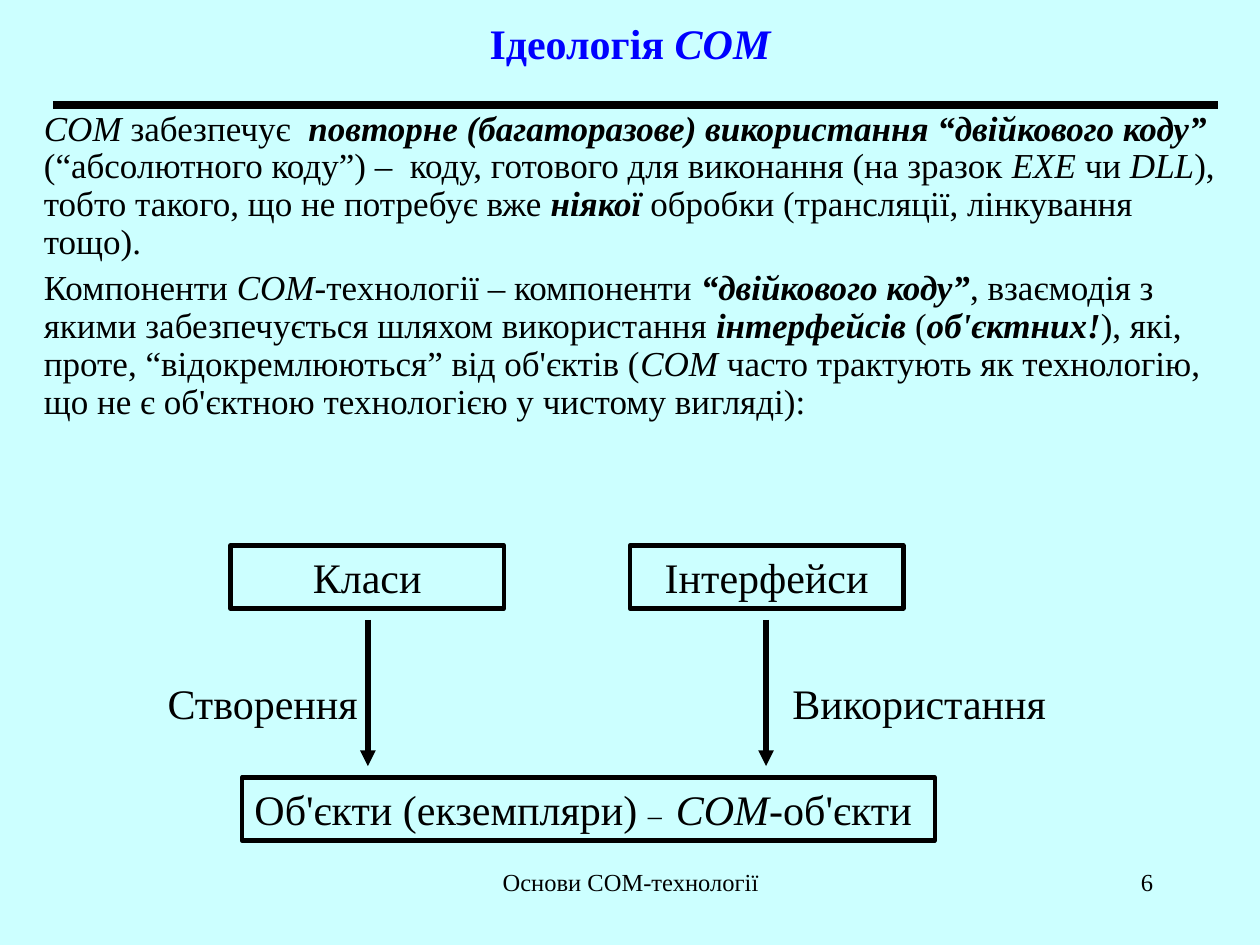
"""Build the slide on the ideology of COM with its diagram of classes, interfaces and objects."""
import pptx
import pptx.dml.color
import pptx.enum.shapes
import pptx.enum.text
import pptx.oxml
import pptx.oxml.ns
import pptx.util

Inches = pptx.util.Inches
Pt = pptx.util.Pt
Align = pptx.enum.text.PP_ALIGN
Anchor = pptx.enum.text.MSO_ANCHOR

COLORS = {"background": "CCFFFF", "title": "0000FF", "ink": "000000"}
FONT = "Times New Roman"

TITLE = [[("Ідеологія ", "b"), ("COM", "bi")]]
BODY = [
    [
        ("COM", "i"),
        (" забезпечує  ", ""),
        ("повторне (багаторазове) використання “двійкового коду”", "bi"),
        (" (“абсолютного коду”) –  коду, готового для виконання (на зразок ", ""),
        ("EXE", "i"),
        (" чи ", ""),
        ("DLL", "i"),
        ("), тобто такого, що не потребує вже ", ""),
        ("ніякої", "bi"),
        (" обробки (трансляції, лінкування тощо).", ""),
    ],
    [
        ("Компоненти", ""),
        (" COM-", "i"),
        ("технології – компоненти ", ""),
        ("“двійкового коду”", "bi"),
        (", взаємодія з якими забезпечується шляхом використання ", ""),
        ("інтерфейсів", "bi"),
        (" (", ""),
        ("об'єктних!", "bi"),
        ("), які, проте, “відокремлюються” від об'єктів (", ""),
        ("COM", "i"),
        (" часто трактують як технологію, що не є об'єктною технологією у чистому вигляді):", ""),
    ],
]
OBJECTS = [[("Об'єкти (екземпляри) ", ""), ("–  ", "", 16), ("COM-", "i"), ("об'єкти ", "")]]

NODES = [
    ([[("Класи", "")]], (1.83, 4.33, 2.17, 0.5)),
    ([[("Інтерфейси", "")]], (5, 4.33, 2.17, 0.5)),
    (OBJECTS, (1.92, 6.17, 5.5, 0.5)),
]
LABELS = [
    ("Створення", (1, 5.33, 2.17, 0.5), 24, Align.CENTER),
    ("Використання", (6.17, 5.33, 2.25, 0.5), 24, Align.CENTER),
    ("Основи COM-технології", (3.42, 6.83, 3.17, 0.5), 14, Align.CENTER),
    ("6", (7.17, 6.83, 2.08, 0.5), 14, Align.RIGHT),
]
RULE = ((0.42, 0.83), (9.67, 0.83))
ARROWS = [((x, 4.92), (x, 6.08)) for x in (2.92, 6.08)]


def rgb(name):
    return pptx.dml.color.RGBColor.from_string(COLORS[name])


def write(box, paragraphs, size=24, color="ink", align=Align.CENTER,
          anchor=Anchor.TOP, line_spacing=None, gap=0):
    frame = box.text_frame
    frame.word_wrap = True
    frame.auto_size = pptx.enum.text.MSO_AUTO_SIZE.NONE
    frame.vertical_anchor = anchor
    for index, spans in enumerate(paragraphs):
        para = frame.add_paragraph() if index else frame.paragraphs[0]
        para.alignment = align
        para.line_spacing = line_spacing
        para.space_before = Pt(gap if index else 0)
        for text, style, *own_size in spans:
            span = para.add_run()
            span.text = text
            span.font.name = FONT
            span.font.size = Pt(own_size[0] if own_size else size)
            span.font.bold = "b" in style
            span.font.italic = "i" in style
            span.font.color.rgb = rgb(color)


def add_line(page, ends, width, arrow=False):
    (x1, y1), (x2, y2) = ends
    line = page.shapes.add_connector(
        pptx.enum.shapes.MSO_CONNECTOR.STRAIGHT,
        Inches(x1), Inches(y1), Inches(x2), Inches(y2))
    line.line.color.rgb = rgb("ink")
    line.line.width = Pt(width)
    properties = line._element.spPr
    if arrow:
        head = pptx.oxml.parse_xml(f'<a:tailEnd {pptx.oxml.ns.nsdecls("a")} type="triangle"/>')
        properties.find(pptx.oxml.ns.qn("a:ln")).append(head)
    properties.append(pptx.oxml.parse_xml(f'<a:effectLst {pptx.oxml.ns.nsdecls("a")}/>'))


def add_text(page, paragraphs, place, **style):
    write(page.shapes.add_textbox(*map(Inches, place)), paragraphs, **style)


def add_node(page, paragraphs, place):
    box = page.shapes.add_shape(
        pptx.enum.shapes.MSO_SHAPE.RECTANGLE, *map(Inches, place))
    box.shadow.inherit = False
    box.fill.background()
    box.line.color.rgb = rgb("ink")
    box.line.width = Pt(2.5)
    write(box, paragraphs)


def main():
    deck = pptx.Presentation()
    deck.slide_width, deck.slide_height = Inches(10), Inches(7.5)
    page = deck.slides.add_slide(deck.slide_layouts.get_by_name("Title Only"))
    page.background.fill.solid()
    page.background.fill.fore_color.rgb = rgb("background")

    title = page.shapes.title
    title.left, title.top, title.width, title.height = map(Inches, (0.75, 0, 8.5, 0.67))
    write(title, TITLE, color="title", anchor=Anchor.MIDDLE)
    add_line(page, RULE, 4.5)
    add_text(page, BODY, (0.25, 0.83, 9.5, 3.25), size=20,
             align=Align.LEFT, line_spacing=0.9, gap=5)

    for paragraphs, place in NODES:
        add_node(page, paragraphs, place)
    for ends in ARROWS:
        add_line(page, ends, 3, arrow=True)
    for text, place, size, align in LABELS:
        add_text(page, [[(text, "")]], place, size=size, align=align)

    deck.save("out.pptx")


if __name__ == "__main__":
    main()
